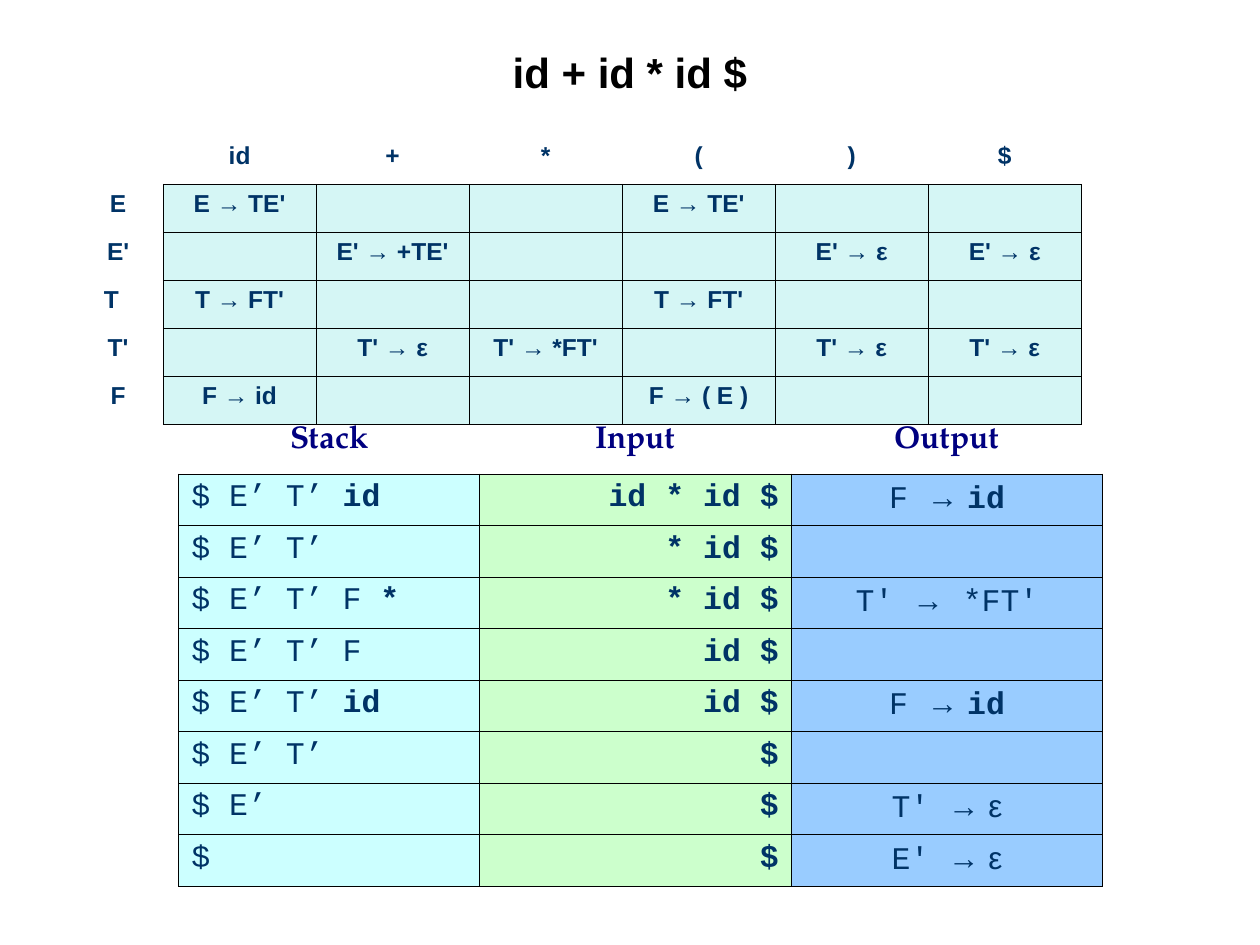
from lxml import etree
from pptx import Presentation
from pptx.dml.color import RGBColor
from pptx.enum import text
from pptx.oxml import ns
from pptx.util import Pt

ARIAL, COURIER, PAGELLA = "Arial", "Courier New", "TeX Gyre Pagella"
INK, NAVY, BLACK = "003366", "000080", "000000"
LEFT, CENTER, RIGHT = text.PP_ALIGN.LEFT, text.PP_ALIGN.CENTER, text.PP_ALIGN.RIGHT


def color(value):
    return RGBColor.from_string(value)


class SlideBuilder:
    def __init__(self, deck):
        self.slide = deck.slides.add_slide(deck.slide_layouts[5])
        self.line_width = Pt(0.45)

    def span(self, para, words, font, size, ink, bold):
        span = para.add_run()
        span.text = words
        span.font.name = font
        span.font.size = Pt(size)
        span.font.bold = bold
        span.font.color.rgb = color(ink)

    def title(self, words, left, top, width, height):
        box = self.slide.shapes.title
        box.left, box.top, box.width, box.height = map(Pt, (left, top, width, height))
        box.text_frame.vertical_anchor = text.MSO_ANCHOR.MIDDLE
        para = box.text_frame.paragraphs[0]
        para.alignment = CENTER
        self.span(para, words, ARIAL, 24, BLACK, True)

    def table(self, left, top, widths, heights, fills):
        """Add an empty table; fills holds a colour or None for each cell."""
        frame = self.slide.shapes.add_table(
            len(heights), len(widths), Pt(left), Pt(top), Pt(sum(widths)), Pt(sum(heights)))
        table = frame.table
        table.first_row = table.horz_banding = False
        for column, width in zip(table.columns, widths):
            column.width = Pt(width)
        for row, height in zip(table.rows, heights):
            row.height = Pt(height)
        for r, row_fills in enumerate(fills):
            for c, fill in enumerate(row_fills):
                cell = table.cell(r, c)
                if fill:
                    cell.fill.solid()
                    cell.fill.fore_color.rgb = color(fill)
                else:
                    cell.fill.background()
                cell.text_frame.paragraphs[0].font.size = Pt(14)
                self.borders(cell, r, c, fills)
        return table

    def borders(self, cell, r, c, fills):
        """Draw each edge that touches a filled cell, and hide the others."""
        sides = {"lnL": (r, c - 1), "lnR": (r, c + 1), "lnT": (r - 1, c), "lnB": (r + 1, c)}
        properties = cell._tc.get_or_add_tcPr()
        for position, (tag, (row, column)) in enumerate(sides.items()):
            inside = 0 <= row < len(fills) and 0 <= column < len(fills[0])
            edge = etree.Element(ns.qn("a:" + tag), w=str(int(self.line_width)))
            if fills[r][c] or (inside and fills[row][column]):
                solid = etree.SubElement(edge, ns.qn("a:solidFill"))
                etree.SubElement(solid, ns.qn("a:srgbClr"), val=BLACK)
            else:
                etree.SubElement(edge, ns.qn("a:noFill"))
            properties.insert(position, edge)

    def cell_text(self, cell, spans, size, ink=INK, align=CENTER):
        """Fill a cell with spans of (words, font, bold)."""
        para = cell.text_frame.paragraphs[0]
        para.alignment = align
        for words, font, bold in spans:
            self.span(para, words, font, size, ink, bold)


def add_trace_table(builder):
    derive_id = [("F ", COURIER, False), ("→ ", ARIAL, False), ("id", COURIER, True)]
    derive_product = [("T' ", COURIER, False), ("→", ARIAL, False), (" *FT'", COURIER, False)]
    erase_t = [("T' ", COURIER, False), ("→ ε", ARIAL, False)]
    erase_e = [("E' ", COURIER, False), ("→ ε", ARIAL, False)]
    # Stack nonterminals, terminal on top of the stack, remaining input, output
    steps = [
        ("$ E’ T’ ", "id", "id * id $", derive_id),
        ("$ E’ T’", "", "* id $", []),
        ("$ E’ T’ F ", "*", "* id $", derive_product),
        ("$ E’ T’ F", "", "id $", []),
        ("$ E’ T’ ", "id", "id $", derive_id),
        ("$ E’ T’", "", "$", []),
        ("$ E’", "", "$", erase_t),
        ("$", "", "$", erase_e),
    ]
    fills = [[None] * 3] + [["CCFFFF", "CCFFCC", "99CCFF"]] * len(steps)
    table = builder.table(102.2, 239.8, [172, 178, 178], [31.1] + [29.45] * len(steps), fills)
    for c, heading in enumerate(("Stack", "Input", "Output")):
        builder.cell_text(table.cell(0, c), [(heading, PAGELLA, True)], 18, NAVY)
    for r, (stack, terminal, remaining, output) in enumerate(steps, 1):
        stack_spans = [(stack, COURIER, False)]
        if terminal:
            stack_spans.append((terminal, COURIER, True))
        columns = [(stack_spans, LEFT), ([(remaining, COURIER, True)], RIGHT), (output, CENTER)]
        for c, (spans, align) in enumerate(columns):
            builder.cell_text(table.cell(r, c), spans, 18, align=align)


def add_parsing_table(builder):
    rows = [
        ["", "id", "+", "*", "(", ")", "$"],
        ["E", "E → TE'", "", "", "E → TE'", "", ""],
        ["E'", "", "E' → +TE'", "", "", "E' → ε", "E' → ε"],
        ["T", "T → FT'", "", "", "T → FT'", "", ""],
        ["T'", "", "T' → ε", "T' → *FT'", "", "T' → ε", "T' → ε"],
        ["F", "F → id", "", "", "F → ( E )", "", ""],
    ]
    fills = [[None] * 7] + [[None] + ["D5F6F5"] * 6] * 5
    table = builder.table(41.8, 77.8, [51.4] + [87.45] * 6, [27.43] * len(rows), fills)
    for r, row in enumerate(rows):
        for c, words in enumerate(row):
            if words:
                builder.cell_text(table.cell(r, c), [(words, ARIAL, True)], 14)
    table.cell(3, 0).margin_right = Pt(15)


def main():
    deck = Presentation()
    deck.slide_width, deck.slide_height = Pt(720), Pt(540)
    builder = SlideBuilder(deck)
    add_trace_table(builder)
    add_parsing_table(builder)
    builder.title("id + id * id $", 36, 21.6, 648, 38.2)
    deck.save("out.pptx")


if __name__ == "__main__":
    main()
